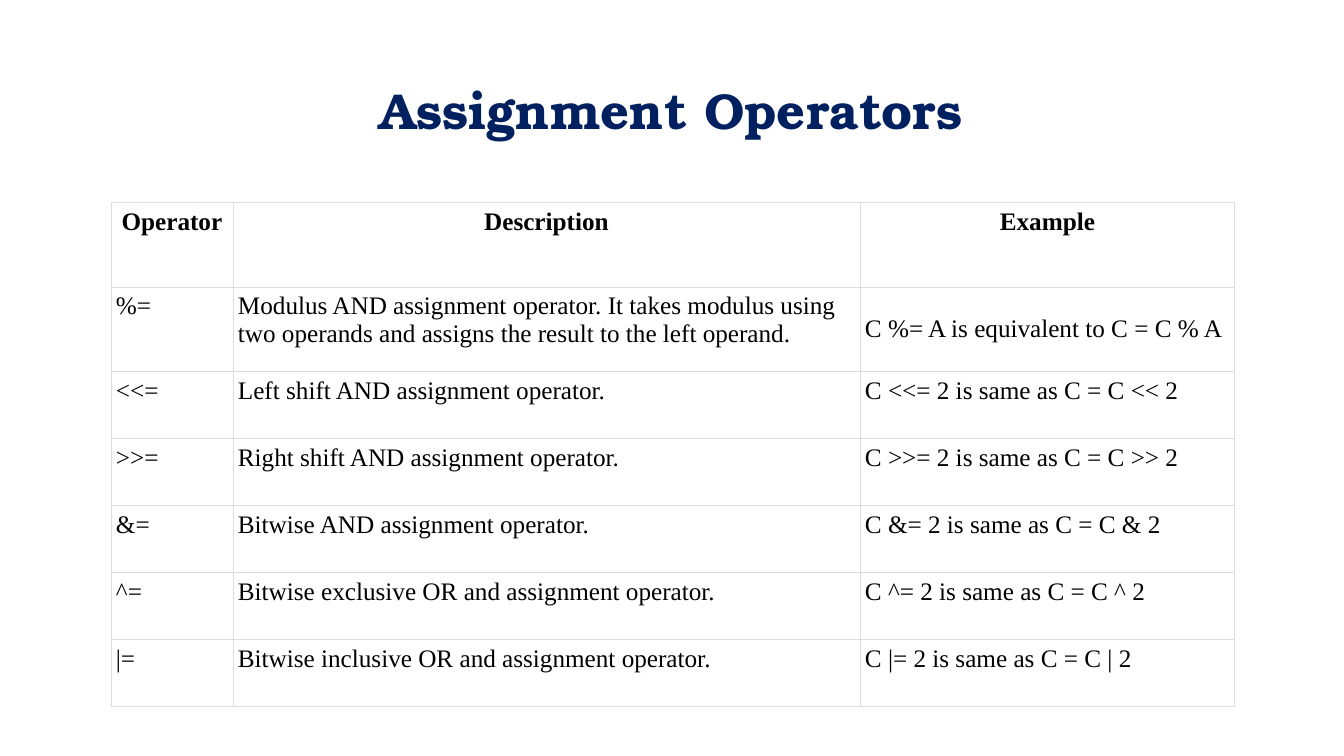
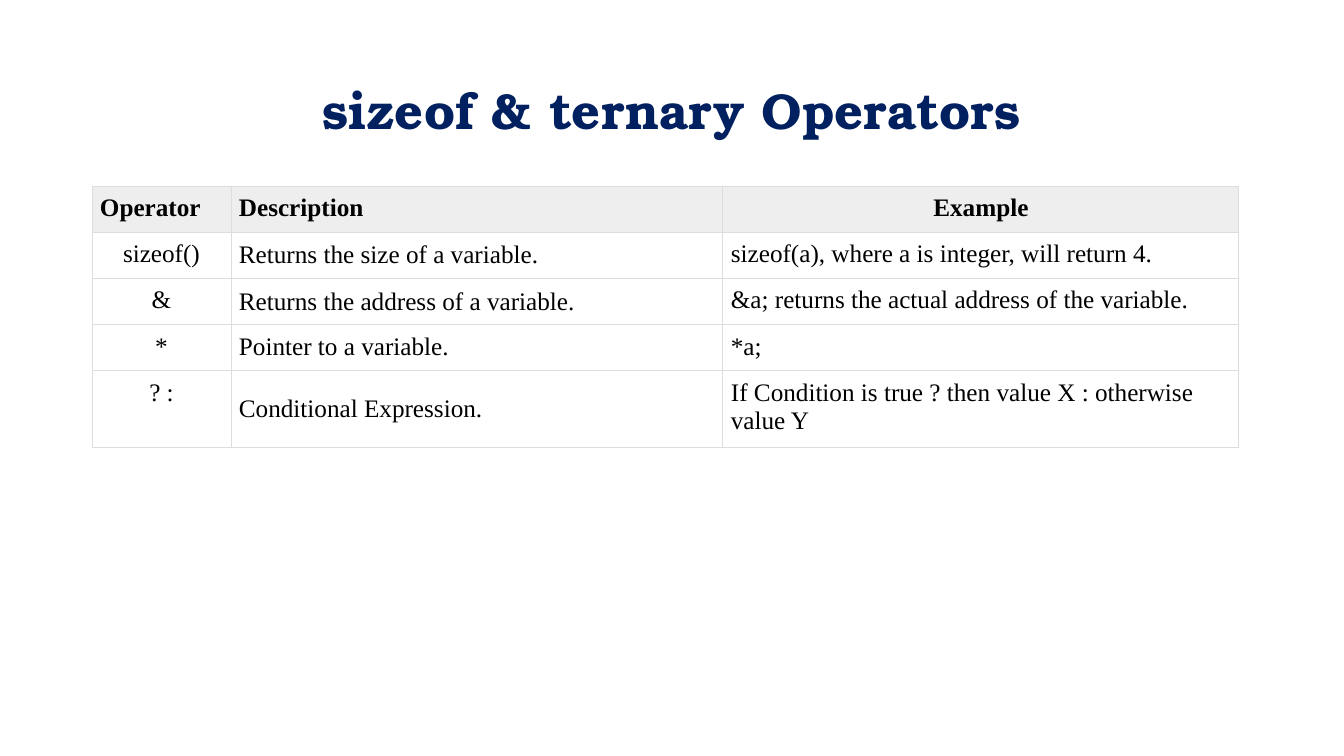
from lxml.etree import SubElement
from pptx import Presentation
from pptx.dml.color import RGBColor
from pptx.enum.text import MSO_ANCHOR, PP_ALIGN
from pptx.oxml.ns import qn
from pptx.util import Pt

PX = 914400 / 100.8
NAVY = RGBColor(0x00, 0x20, 0x60)
BLACK = RGBColor(0x00, 0x00, 0x00)
HEADER_GRAY = RGBColor(0xEE, 0xEE, 0xEE)
BORDER_GRAY = RGBColor(0xDD, 0xDD, 0xDD)
TITLE_FONT = "TeX Gyre Bonum"
TABLE_FONT = "Times New Roman"
LEFT, CENTER = PP_ALIGN.LEFT, PP_ALIGN.CENTER
HEADINGS = ("Operator", "Description", "Example")


def px(length):
    return round(length * PX)


def add_borders(cell):
    properties = cell._tc.get_or_add_tcPr()
    for side in ("lnL", "lnR", "lnT", "lnB"):
        line = SubElement(properties, qn(f"a:{side}"), w=str(Pt(0.75)))
        fill = SubElement(line, qn("a:solidFill"))
        SubElement(fill, qn("a:srgbClr"), val=str(BORDER_GRAY))


SLIDES = [
    {
        "title": "Assignment Operators",
        "position": (111, 202),
        "columns": [122, 627, 375],
        "rows": [85, 85] + [67] * 5,
        "header_inset": 6,
        "body_inset": 5,
        "header_fill": None,
        "header_alignment": (CENTER, CENTER, CENTER),
        "body_alignment": (LEFT, LEFT, LEFT),
        "middle_cells": {(1, 2)},
        "body": [
            ("%=", "Modulus AND assignment operator. It takes modulus using two operands "
                   "and assigns the result to the left operand.",
             "C %= A is equivalent to C = C % A"),
            ("<<=", "Left shift AND assignment operator.", "C <<= 2 is same as C = C << 2"),
            (">>=", "Right shift AND assignment operator.", "C >>= 2 is same as C = C >> 2"),
            ("&=", "Bitwise AND assignment operator.", "C &= 2 is same as C = C & 2"),
            ("^=", "Bitwise exclusive OR and assignment operator.", "C ^= 2 is same as C = C ^ 2"),
            ("|=", "Bitwise inclusive OR and assignment operator.", "C |= 2 is same as C = C | 2"),
        ],
    },
    {
        "title": "sizeof & ternary Operators",
        "position": (92, 186),
        "columns": [139, 492, 516],
        "rows": [45] * 4 + [72],
        "header_inset": 8,
        "body_inset": 8,
        "header_fill": HEADER_GRAY,
        "header_alignment": (LEFT, LEFT, CENTER),
        "body_alignment": (CENTER, LEFT, LEFT),
        "middle_cells": {(1, 1), (2, 1), (4, 1)},
        "body": [
            ("sizeof()", "Returns the size of a variable.",
             "sizeof(a), where a is integer, will return 4."),
            ("&", "Returns the address of a variable.",
             "&a; returns the actual address of the variable."),
            ("*", "Pointer to a variable.", "*a;"),
            ("? :", "Conditional Expression.",
             "If Condition is true ? then value X : otherwise value Y"),
        ],
    },
]

presentation = Presentation()
presentation.slide_width = px(1344)
presentation.slide_height = px(756)

for content in SLIDES:
    slide = presentation.slides.add_slide(presentation.slide_layouts[6])

    title_frame = slide.shapes.add_textbox(px(92), px(40), px(1159), px(146)).text_frame
    title_frame.word_wrap = True
    title_frame.vertical_anchor = MSO_ANCHOR.MIDDLE
    paragraph = title_frame.paragraphs[0]
    paragraph.text = content["title"]
    paragraph.alignment = CENTER
    paragraph.line_spacing = 0.9
    paragraph.font.name = TITLE_FONT
    paragraph.font.size = Pt(36)
    paragraph.font.bold = True
    paragraph.font.color.rgb = NAVY

    left, top = content["position"]
    columns, rows = content["columns"], content["rows"]
    table = slide.shapes.add_table(
        len(rows), len(columns), px(left), px(top), px(sum(columns)), px(sum(rows))
    ).table
    table.horz_banding = False
    for column, width in zip(table.columns, columns):
        column.width = px(width)
    for row, height in zip(table.rows, rows):
        row.height = px(height)

    for row_index, texts in enumerate([HEADINGS] + content["body"]):
        is_header = row_index == 0
        part = "header" if is_header else "body"
        inset = px(content[f"{part}_inset"])
        for column_index, text in enumerate(texts):
            cell = table.cell(row_index, column_index)
            cell.margin_left = cell.margin_right = inset
            cell.margin_top = cell.margin_bottom = inset
            is_middle = (row_index, column_index) in content["middle_cells"]
            cell.vertical_anchor = MSO_ANCHOR.MIDDLE if is_middle else MSO_ANCHOR.TOP
            add_borders(cell)
            if is_header and content["header_fill"]:
                cell.fill.solid()
                cell.fill.fore_color.rgb = content["header_fill"]
            else:
                cell.fill.background()
            paragraph = cell.text_frame.paragraphs[0]
            paragraph.text = text
            paragraph.alignment = content[f"{part}_alignment"][column_index]
            paragraph.font.name = TABLE_FONT
            paragraph.font.size = Pt(18)
            paragraph.font.bold = is_header
            paragraph.font.color.rgb = BLACK

presentation.save("out.pptx")
